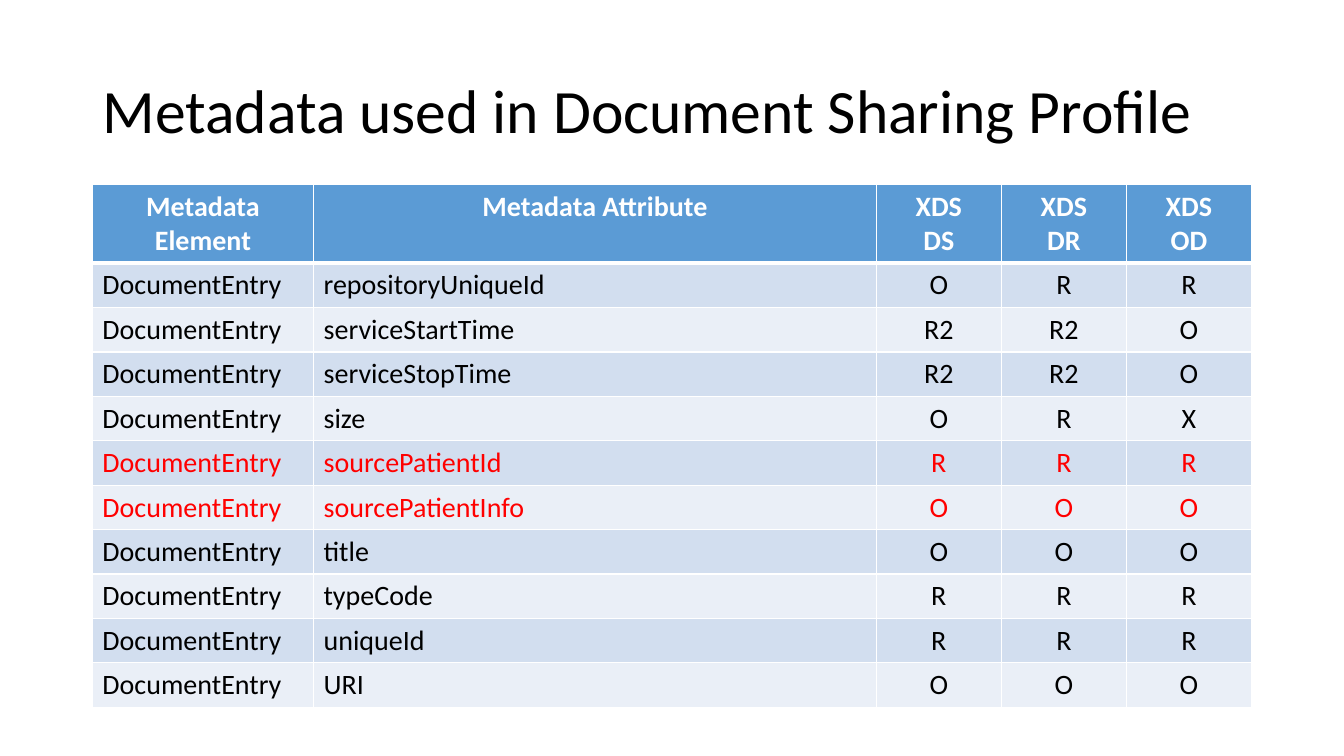
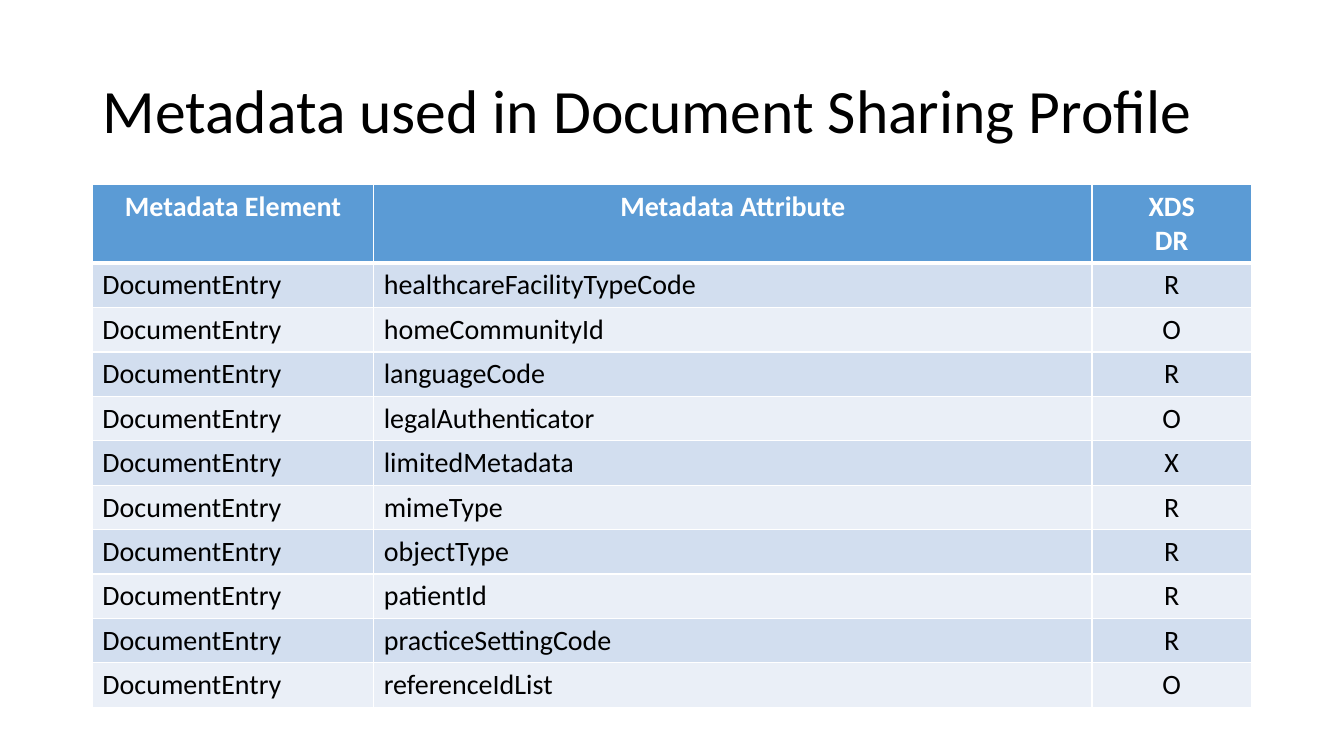
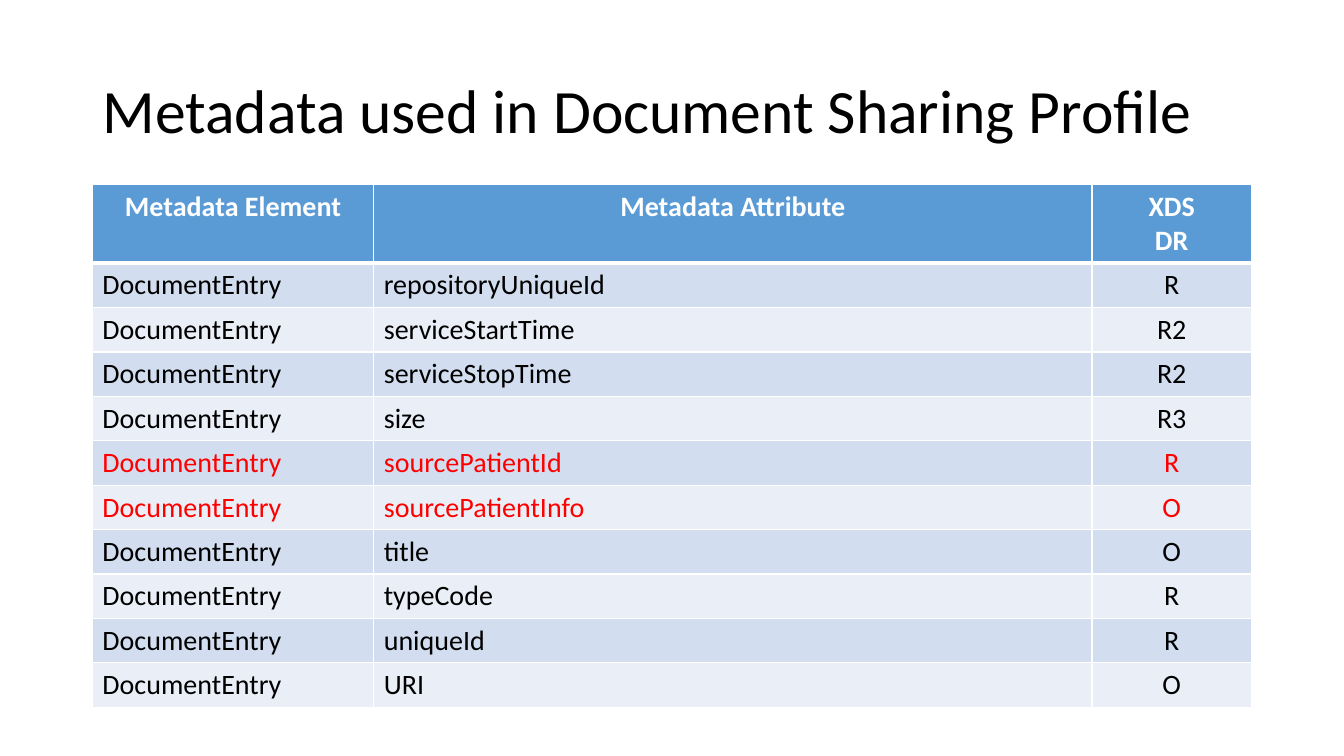
from lxml import etree
from pptx import Presentation
from pptx import util as u
from pptx.dml.color import RGBColor
from pptx.enum import text
from pptx.oxml import ns

COLORS = {
    "text": "000000",
    "highlight": "FF0000",
    "white": "FFFFFF",
    "header": "5B9BD5",
    "odd_row": "D2DEEF",
    "even_row": "EAEFF7",
}
FONT = "Calibri"
TITLE = "Metadata used in Document Sharing Profile"
LEFT, WIDTH = 66, 828
TITLE_TOP, TITLE_HEIGHT = 28.8, 104.4
TABLE_TOP, HEADER_HEIGHT, ROW_HEIGHT = 131.8, 56, 31.6
ELEMENT = "DocumentEntry"
HIGHLIGHTED = {"sourcePatientId", "sourcePatientInfo"}
FIRST_HEADINGS = ["Metadata Element", "Metadata Attribute"]

THREE_PROFILES = ["XDS\nDS", "XDS\nDR", "XDS\nOD"]
THREE_PROFILE_WIDTHS = [158, 402, 89.33, 89.33, 89.33]
THREE_PROFILE_ROWS = [
    ("repositoryUniqueId", "O", "R", "R"),
    ("serviceStartTime", "R2", "R2", "O"),
    ("serviceStopTime", "R2", "R2", "O"),
    ("size", "O", "R", "X"),
    ("sourcePatientId", "R", "R", "R"),
    ("sourcePatientInfo", "O", "O", "O"),
    ("title", "O", "O", "O"),
    ("typeCode", "R", "R", "R"),
    ("uniqueId", "R", "R", "R"),
    ("URI", "O", "O", "O"),
]

ONE_PROFILE = ["XDS\nDR"]
ONE_PROFILE_WIDTHS = [201, 513, 114]
FACILITY_ROWS = [
    ("healthcareFacilityTypeCode", "R"),
    ("homeCommunityId", "O"),
    ("languageCode", "R"),
    ("legalAuthenticator", "O"),
    ("limitedMetadata", "X"),
    ("mimeType", "R"),
    ("objectType", "R"),
    ("patientId", "R"),
    ("practiceSettingCode", "R"),
    ("referenceIdList", "O"),
]
REPOSITORY_ROWS = [
    ("repositoryUniqueId", "R"),
    ("serviceStartTime", "R2"),
    ("serviceStopTime", "R2"),
    ("size", "R3"),
    ("sourcePatientId", "R"),
    ("sourcePatientInfo", "O"),
    ("title", "O"),
    ("typeCode", "R"),
    ("uniqueId", "R"),
    ("URI", "O"),
]


def color(name):
    return RGBColor.from_string(COLORS[name])


def add_run(paragraph, words, size, color_name, bold=False):
    run = paragraph.add_run()
    run.text = words
    run.font.name = FONT
    run.font.size = u.Pt(size)
    run.font.bold = bold
    run.font.color.rgb = color(color_name)


def add_title(slide):
    title = slide.shapes.title
    title.left, title.top = u.Pt(LEFT), u.Pt(TITLE_TOP)
    title.width, title.height = u.Pt(WIDTH), u.Pt(TITLE_HEIGHT)
    frame = title.text_frame
    frame.word_wrap = True
    frame.vertical_anchor = text.MSO_ANCHOR.MIDDLE
    paragraph = frame.paragraphs[0]
    paragraph.alignment = text.PP_ALIGN.LEFT
    paragraph.line_spacing = 0.9
    add_run(paragraph, TITLE, 44, "text")


def set_borders(cell, top, bottom):
    """Draw white borders; top and bottom are line widths in points."""
    properties = cell._tc.get_or_add_tcPr()
    for side, width in (("L", 1), ("R", 1), ("T", top), ("B", bottom)):
        line = etree.SubElement(properties, ns.qn(f"a:ln{side}"), w=str(u.Pt(width)))
        fill = etree.SubElement(line, ns.qn("a:solidFill"))
        etree.SubElement(fill, ns.qn("a:srgbClr"), val=COLORS["white"])


def fill_cell(cell, words, fill_name, color_name, bold, centered):
    cell.fill.solid()
    cell.fill.fore_color.rgb = color(fill_name)
    frame = cell.text_frame
    for index, line in enumerate(words.split("\n")):
        paragraph = frame.add_paragraph() if index else frame.paragraphs[0]
        paragraph.alignment = text.PP_ALIGN.CENTER if centered else text.PP_ALIGN.LEFT
        add_run(paragraph, line, 20, color_name, bold)


def add_metadata_table(slide, profiles, widths, entries):
    rows = [FIRST_HEADINGS + profiles] + [[ELEMENT, *entry] for entry in entries]
    height = HEADER_HEIGHT + ROW_HEIGHT * len(entries)
    table = slide.shapes.add_table(
        len(rows), len(widths),
        u.Pt(LEFT), u.Pt(TABLE_TOP), u.Pt(WIDTH), u.Pt(height),
    ).table
    for column, width in zip(table.columns, widths):
        column.width = u.Pt(width)
    for row_index, values in enumerate(rows):
        is_header = row_index == 0
        table.rows[row_index].height = u.Pt(HEADER_HEIGHT if is_header else ROW_HEIGHT)
        if is_header:
            fill_name, color_name = "header", "white"
        else:
            fill_name = "odd_row" if row_index % 2 else "even_row"
            color_name = "highlight" if values[1] in HIGHLIGHTED else "text"
        for column_index, words in enumerate(values):
            cell = table.cell(row_index, column_index)
            set_borders(cell, 3 if row_index == 1 else 1, 3 if is_header else 1)
            fill_cell(cell, words, fill_name, color_name, is_header,
                      is_header or column_index > 1)


def main():
    presentation = Presentation()
    presentation.slide_width, presentation.slide_height = u.Pt(960), u.Pt(540)
    title_only = presentation.slide_layouts[5]
    for profiles, widths, entries in (
        (THREE_PROFILES, THREE_PROFILE_WIDTHS, THREE_PROFILE_ROWS),
        (ONE_PROFILE, ONE_PROFILE_WIDTHS, FACILITY_ROWS),
        (ONE_PROFILE, ONE_PROFILE_WIDTHS, REPOSITORY_ROWS),
    ):
        slide = presentation.slides.add_slide(title_only)
        add_title(slide)
        add_metadata_table(slide, profiles, widths, entries)
    presentation.save("out.pptx")


if __name__ == "__main__":
    main()
